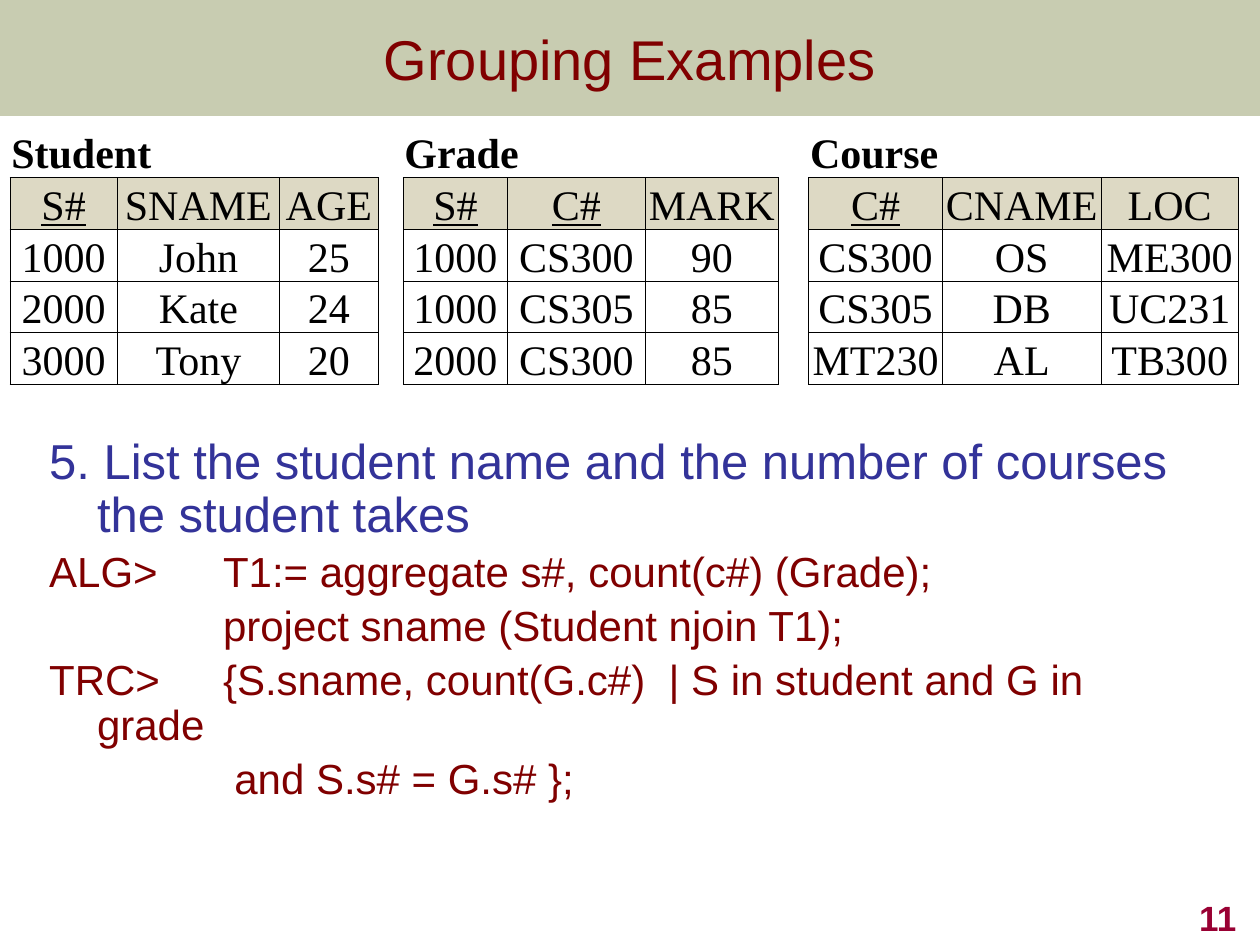
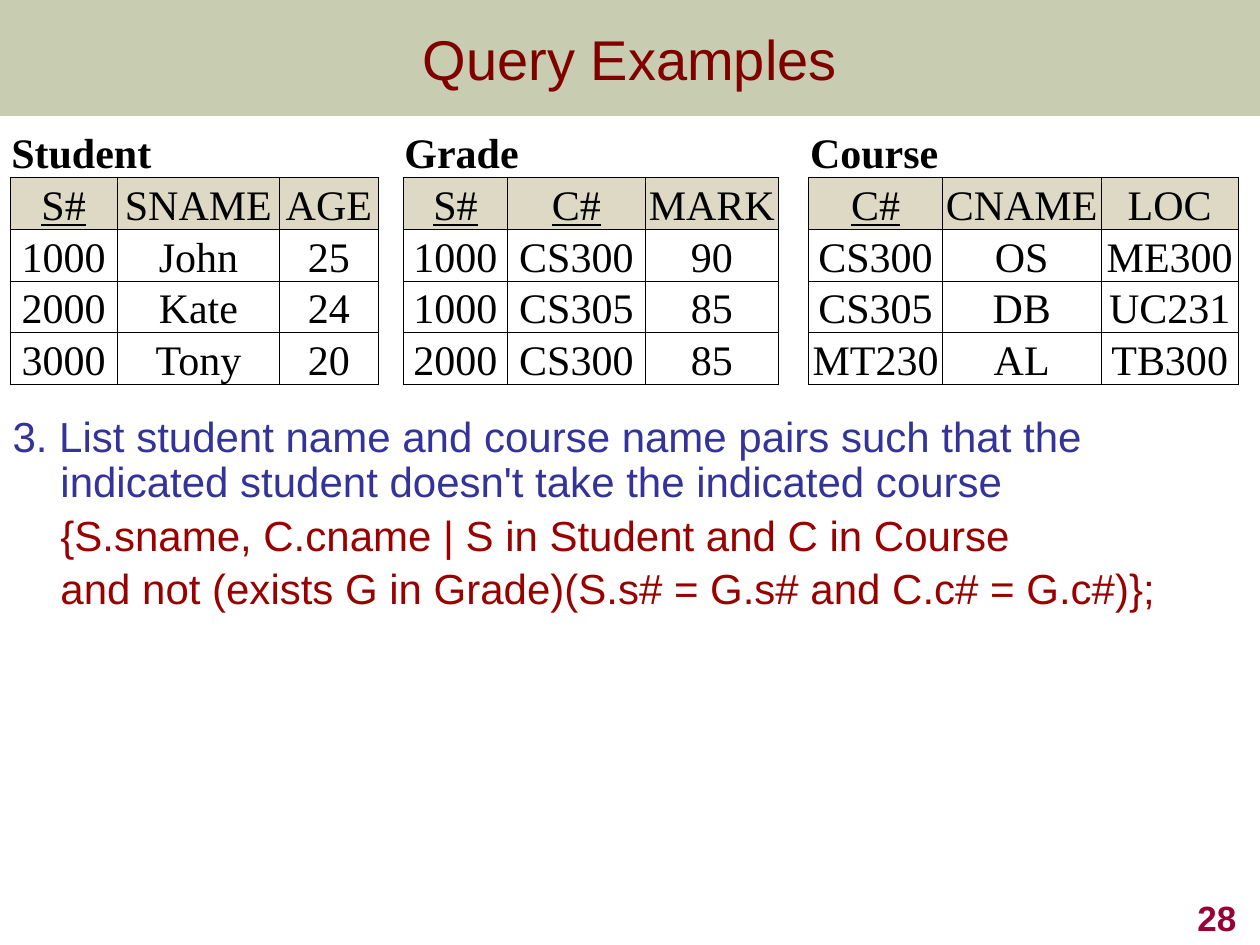
from dataclasses import dataclass
from typing import NamedTuple

import lxml.etree
import pptx
import pptx.dml.color
import pptx.enum.shapes
import pptx.enum.text
import pptx.oxml
import pptx.oxml.ns
import pptx.util

Inches = pptx.util.Inches
Align = pptx.enum.text.PP_ALIGN
Anchor = pptx.enum.text.MSO_ANCHOR


@dataclass(frozen=True)
class Theme:
    band: str = "677228"
    band_alpha: int = 36000
    title: str = "800000"
    question: str = "333399"
    answer: str = "990000"
    number: str = "990033"
    ink: str = "000000"
    paper: str = "FFFFFF"
    header: str = "DDD9C4"
    sans: str = "Arial"
    serif: str = "Times New Roman"
    title_size: int = 32
    large_size: int = 28
    text_size: int = 24
    number_size: int = 20
    gap_size: int = 10
    border_width: float = 0.5


THEME = Theme()
SLIDE_WIDTH = 10
BAND_HEIGHT = 0.92
HANG = 0.38  # wrapped lines of a question or answer
TAB = 1.0  # distance between default tab stops


class Box(NamedTuple):
    left: float
    top: float
    width: float
    height: float


class Line(NamedTuple):
    text: str
    color: str
    size: int = THEME.text_size
    margin: float = HANG
    indent: float = 0


class Relation(NamedTuple):
    name: str
    keys: tuple[str, ...]
    rows: tuple[tuple[str, ...], ...]


class Example(NamedTuple):
    title: str
    number: str
    body: Box
    lines: tuple[Line, ...]


RELATIONS = (
    Relation("Student", ("S#",), (
        ("S#", "SNAME", "AGE"), ("1000", "John", "25"),
        ("2000", "Kate", "24"), ("3000", "Tony", "20"))),
    Relation("Grade", ("S#", "C#"), (
        ("S#", "C#", "MARK"), ("1000", "CS300", "90"),
        ("1000", "CS305", "85"), ("2000", "CS300", "85"))),
    Relation("Course", ("C#",), (
        ("C#", "CNAME", "LOC"), ("CS300", "OS", "ME300"),
        ("CS305", "DB", "UC231"), ("MT230", "AL", "TB300"))),
)
COLUMN_WIDTHS = (0.85, 1.29, 0.78, 0.2, 0.83, 1.09, 1.06, 0.24, 1.06, 1.26, 1.09)
ROW_HEIGHT = 0.38
ROW_COUNT = 5

EXAMPLES = (
    Example("Grouping Examples", "11", Box(0.29, 3.42, 9.08, 2.83), (
        Line("5. List the student name and the number of courses the student takes",
             THEME.question, THEME.large_size, indent=-HANG),
        Line("ALG>\tT1:= aggregate s#, count(c#) (Grade);", THEME.title, indent=-HANG),
        Line("project sname (Student njoin T1);", THEME.title, margin=HANG + TAB),
        Line("TRC> \t{S.sname, count(G.c#)  | S in student and G in grade",
             THEME.title, indent=-HANG),
        Line("and S.s# = G.s# };", THEME.title, margin=HANG + TAB + 0.09),
    )),
    Example("Query Examples", "28", Box(0, 3.25, 9.25, 2.67), (
        Line("3. List student name and course name pairs such that the indicated "
             "student doesn't take the indicated course", THEME.question, indent=-HANG),
        Line("{S.sname, C.cname | S in Student and C in Course", THEME.answer),
        Line("and not (exists G in Grade)(S.s# = G.s# and C.c# = G.c#)};", THEME.answer),
    )),
)


def rgb(color: str) -> pptx.dml.color.RGBColor:
    return pptx.dml.color.RGBColor.from_string(color)


def add_child(parent, tag: str, **attributes: str):
    child = lxml.etree.SubElement(parent, pptx.oxml.ns.qn(tag))
    for name, value in attributes.items():
        child.set(name, value)
    return child


def write_text(paragraph, text: str, *, size: int, color: str, font: str = THEME.sans,
               bold: bool = False, underline: bool = False, align=Align.LEFT) -> None:
    paragraph.alignment = align
    run = paragraph.add_run()
    run.text = text
    run.font.name = font
    run.font.size = pptx.util.Pt(size)
    run.font.bold = bold
    run.font.underline = underline
    run.font.color.rgb = rgb(color)


def place(shape, box: Box) -> None:
    shape.left, shape.top, shape.width, shape.height = map(Inches, box)


def add_band(slide) -> None:
    """Put the translucent title band behind everything else."""
    band = slide.shapes.add_shape(pptx.enum.shapes.MSO_SHAPE.RECTANGLE, 0, 0,
                                  Inches(SLIDE_WIDTH), Inches(BAND_HEIGHT))
    band.shadow.inherit = False
    band.line.fill.background()
    band.fill.solid()
    band.fill.fore_color.rgb = rgb(THEME.band)
    color = band.element.find(".//" + pptx.oxml.ns.qn("a:srgbClr"))
    add_child(color, "a:alpha", val=str(THEME.band_alpha))
    slide.shapes.element.insert(2, band.element)


def add_title(slide, text: str) -> None:
    title = slide.shapes.title
    place(title, Box(0, 0, SLIDE_WIDTH, BAND_HEIGHT))
    frame = title.text_frame
    frame.auto_size = pptx.enum.text.MSO_AUTO_SIZE.NONE
    frame.vertical_anchor = Anchor.MIDDLE
    write_text(frame.paragraphs[0], text, size=THEME.title_size,
               color=THEME.title, align=Align.CENTER)


def add_body(slide, box: Box, lines: tuple[Line, ...]) -> None:
    body = slide.placeholders[1]
    place(body, box)
    frame = body.text_frame
    frame.auto_size = pptx.enum.text.MSO_AUTO_SIZE.NONE
    frame.vertical_anchor = Anchor.TOP
    frame.margin_right = 0
    for index, line in enumerate(lines):
        paragraph = frame.paragraphs[0] if index == 0 else frame.add_paragraph()
        paragraph.line_spacing = 0.9
        paragraph.space_before = pptx.util.Pt(0.2 * line.size if index else 0)
        properties = paragraph._p.get_or_add_pPr()
        properties.set("marL", str(Inches(line.margin)))
        properties.set("indent", str(Inches(line.indent)))
        properties.set("defTabSz", str(Inches(TAB)))
        add_child(properties, "a:buNone")
        write_text(paragraph, line.text, size=line.size, color=line.color)


def add_number(slide, text: str) -> None:
    box = slide.shapes.add_textbox(*map(Inches, Box(7.83, 7, 2.08, 0.5)))
    frame = box.text_frame
    frame.word_wrap = True
    frame.vertical_anchor = Anchor.BOTTOM
    write_text(frame.paragraphs[0], text, size=THEME.number_size,
               color=THEME.number, bold=True, align=Align.RIGHT)


def format_cell(cell, fill: str, sides: str) -> None:
    """Fill a cell and draw a border on each side named in sides."""
    cell.margin_left = cell.margin_right = cell.margin_top = Inches(0.01)
    cell.margin_bottom = 0
    cell.vertical_anchor = Anchor.BOTTOM
    cell.fill.solid()
    cell.fill.fore_color.rgb = rgb(fill)
    properties = cell._tc.get_or_add_tcPr()
    for position, side in enumerate("LRTB"):
        border = add_child(properties, f"a:ln{side}",
                           w=str(pptx.util.Pt(THEME.border_width)))
        if side in sides:
            solid = add_child(border, "a:solidFill")
            add_child(solid, "a:srgbClr", val=THEME.ink)
        else:
            add_child(border, "a:noFill")
        properties.insert(position, border)


def shrink_empty_cell(cell) -> None:
    """Keep an empty cell from stretching its row."""
    end = add_child(cell.text_frame.paragraphs[0]._p, "a:endParaRPr",
                    sz=str(100 * THEME.gap_size))
    add_child(end, "a:latin", typeface=THEME.serif)


def add_relations(slide) -> None:
    frame = slide.shapes.add_table(
        ROW_COUNT, len(COLUMN_WIDTHS), Inches(0.08), Inches(1),
        Inches(sum(COLUMN_WIDTHS)), Inches(ROW_COUNT * ROW_HEIGHT))
    table = frame.table
    table.first_row = table.horz_banding = False
    for column, width in zip(table.columns, COLUMN_WIDTHS):
        column.width = Inches(width)
    for row in table.rows:
        row.height = Inches(ROW_HEIGHT)

    # Each relation takes three columns, with a narrow gap column between
    for index, relation in enumerate(RELATIONS):
        first = 4 * index
        for offset in range(3):
            format_cell(table.cell(0, first + offset), THEME.paper, "B")
        name_cell = table.cell(0, first)
        name_cell.merge(table.cell(0, first + 2))
        write_text(name_cell.text_frame.paragraphs[0], relation.name,
                   size=THEME.text_size, color=THEME.ink, font=THEME.serif, bold=True)
        for row_number, values in enumerate(relation.rows, start=1):
            fill = THEME.header if row_number == 1 else THEME.paper
            for offset, value in enumerate(values):
                cell = table.cell(row_number, first + offset)
                format_cell(cell, fill, "LRTB")
                write_text(cell.text_frame.paragraphs[0], value, size=THEME.text_size,
                           color=THEME.ink, font=THEME.serif, align=Align.CENTER,
                           underline=row_number == 1 and value in relation.keys)
        if index < len(RELATIONS) - 1:
            for row_number in range(ROW_COUNT):
                format_cell(table.cell(row_number, first + 3), THEME.paper,
                            "LR" if row_number else "")

    for cell in table.iter_cells():
        if not cell.text:
            shrink_empty_cell(cell)


def main() -> None:
    presentation = pptx.Presentation()
    presentation.slide_width = Inches(SLIDE_WIDTH)
    presentation.slide_height = Inches(7.5)
    layout = presentation.slide_layouts[1]
    for example in EXAMPLES:
        slide = presentation.slides.add_slide(layout)
        add_band(slide)
        add_title(slide, example.title)
        add_body(slide, example.body, example.lines)
        add_number(slide, example.number)
        add_relations(slide)
    presentation.save("out.pptx")


if __name__ == "__main__":
    main()
